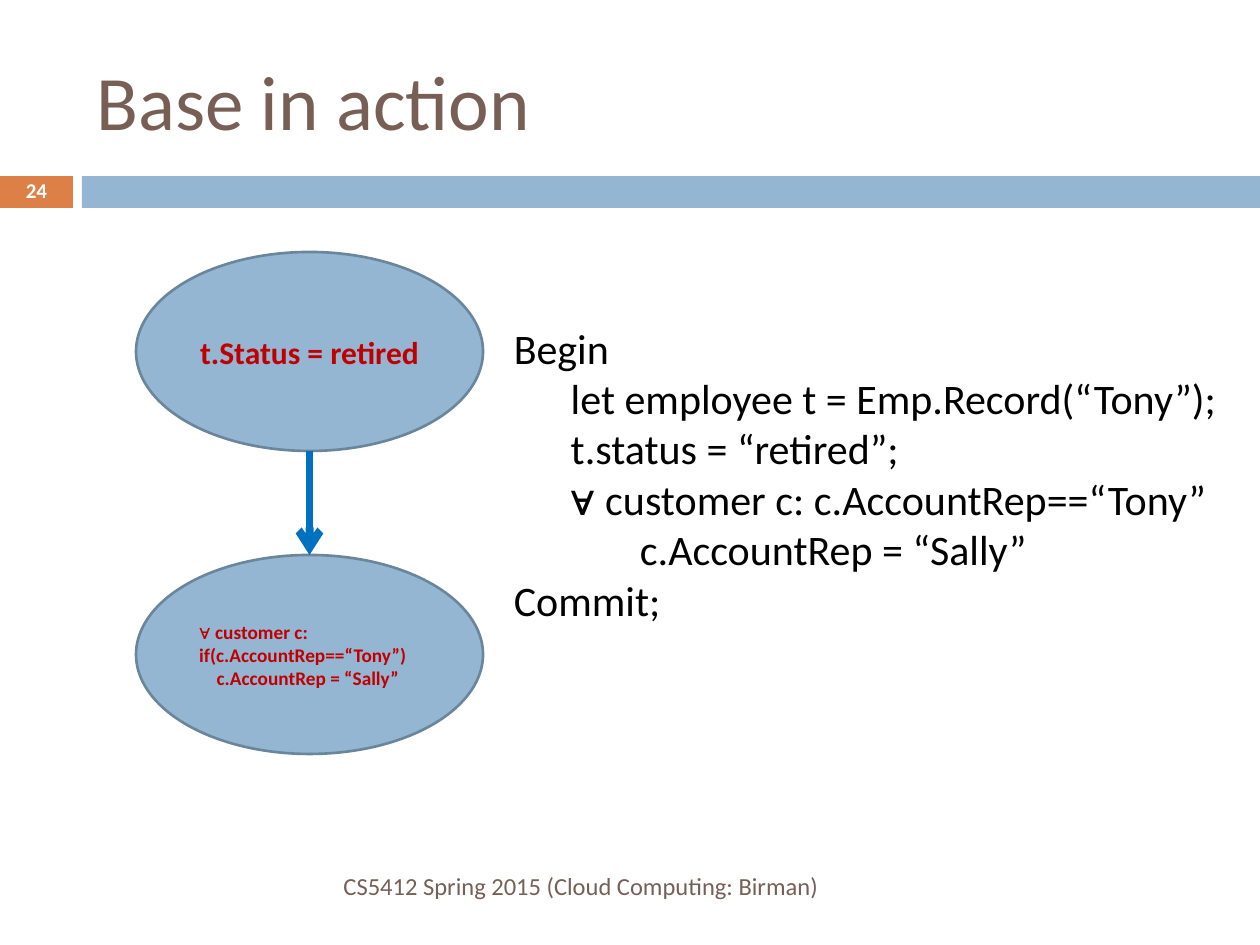
from lxml.etree import SubElement
from pptx import Presentation
from pptx.dml.color import RGBColor
from pptx.enum.shapes import MSO_CONNECTOR, MSO_SHAPE
from pptx.enum.text import MSO_ANCHOR, PP_ALIGN
from pptx.oxml.ns import qn
from pptx.util import Emu, Inches, Pt

BLUE = RGBColor(0x94, 0xB6, 0xD2)
OUTLINE = RGBColor(0x6B, 0x85, 0x9A)
ORANGE = RGBColor(0xDD, 0x80, 0x47)
BROWN = RGBColor(0x77, 0x5F, 0x55)
RED = RGBColor(0xC0, 0x00, 0x00)
ARROW = RGBColor(0x00, 0x70, 0xC0)
BLACK = RGBColor(0, 0, 0)
WHITE = RGBColor(255, 255, 255)

PAGE_WIDTH, PAGE_HEIGHT = 1260, 945
FOR_ALL = "∀"


def px(length):
    return Emu(round(length * 914400 / 126))


def write(shape, lines, size, color, bold=False, align=PP_ALIGN.LEFT,
          anchor=MSO_ANCHOR.MIDDLE):
    """Fill a shape with lines; the quantifier sign is set in Arial."""
    frame = shape.text_frame
    frame.word_wrap = True
    frame.vertical_anchor = anchor
    for index, line in enumerate(lines):
        para = frame.paragraphs[0] if index == 0 else frame.add_paragraph()
        para.alignment = align
        before, sign, after = line.partition(FOR_ALL)
        for text in filter(None, (before, sign, after)):
            span = para.add_run()
            span.text = text
            span.font.name = "Arial" if text == FOR_ALL else "Calibri"
            span.font.size = Pt(size)
            span.font.bold = bold
            span.font.color.rgb = color
    return frame


def add_text(page, box, lines, size, color, **style):
    shape = page.shapes.add_textbox(*map(px, box))
    return write(shape, lines, size, color, **style)


def add_filled(page, kind, box, fill):
    shape = page.shapes.add_shape(kind, *map(px, box))
    shape.shadow.inherit = False
    shape.fill.solid()
    shape.fill.fore_color.rgb = fill
    shape.line.fill.background()
    return shape


def add_band(page, box, number):
    left, top, width, height = box
    number_width, gap = 73, 9
    bar_left = left + number_width + gap
    add_filled(page, MSO_SHAPE.RECTANGLE, (left, top, number_width, height), ORANGE)
    add_filled(page, MSO_SHAPE.RECTANGLE,
               (bar_left, top, left + width - bar_left, height), BLUE)
    frame = add_text(page, (left, top - 1, number_width, height + 2), [number],
                     12, WHITE, bold=True, align=PP_ALIGN.CENTER)
    frame.paragraphs[0].line_spacing = 0.8


def add_code(page, box, lines):
    frame = add_text(page, box, lines, 24, BLACK, anchor=MSO_ANCHOR.TOP)
    for para in frame.paragraphs:
        properties = para._p.get_or_add_pPr()
        properties.set("marL", str(Inches(0.4)))
        properties.set("indent", "0")
        tabs = SubElement(properties, qn("a:tabLst"))
        for stop in range(8):
            SubElement(tabs, qn("a:tab"), pos=str(Inches(stop)), algn="l")


def add_arrow(page, upper, lower):
    middle = upper.left + upper.width // 2
    arrow = page.shapes.add_connector(
        MSO_CONNECTOR.STRAIGHT,
        middle, upper.top + upper.height, middle, lower.top)
    arrow.line.color.rgb = ARROW
    arrow.line.width = Pt(4.5)
    SubElement(arrow.line._get_or_add_ln(), qn("a:tailEnd"), type="arrow")
    SubElement(arrow._element.spPr, qn("a:effectLst"))


def add_steps(page, box, steps):
    left, top, width, height = box
    oval_height = 199
    pitch = (height - oval_height) // (len(steps) - 1)
    ovals = []
    for index, (lines, size, align) in enumerate(steps):
        oval = add_filled(page, MSO_SHAPE.OVAL,
                          (left, top + index * pitch, width, oval_height), BLUE)
        oval.line.color.rgb = OUTLINE
        oval.line.width = Pt(1.5)
        write(oval, lines, size, RED, bold=True, align=align)
        ovals.append(oval)
    for upper, lower in zip(ovals, ovals[1:]):
        add_arrow(page, upper, lower)


def main():
    deck = Presentation()
    deck.slide_width, deck.slide_height = px(PAGE_WIDTH), px(PAGE_HEIGHT)
    page = deck.slides.add_slide(deck.slide_layouts[6])

    # Heading, band and footer
    add_band(page, (0, 176, PAGE_WIDTH, 32), "24")
    add_text(page, (84, 32, 1124, 136), ["Base in action"], 44, BROWN)
    add_text(page, (84, 861, 747, 50),
             ["CS5412 Spring 2015 (Cloud Computing: Birman)"],
             14, BROWN, align=PP_ALIGN.RIGHT)

    # Transaction code
    add_code(page, (451, 316, 809, 416), [
        "Begin",
        "      let employee t = Emp.Record(“Tony”);",
        "      t.status = “retired”;",
        "      ∀ customer c: c.AccountRep==“Tony”",
        "\t\tc.AccountRep = “Sally”",
        "Commit;",
    ])

    # The two steps it is split into
    add_steps(page, (136, 252, 347, 502), [
        (["t.Status = retired"], 18, PP_ALIGN.CENTER),
        (["∀ customer c: if(c.AccountRep==“Tony”)",
          "    c.AccountRep = “Sally”"], 11, PP_ALIGN.LEFT),
    ])
    deck.save("out.pptx")


if __name__ == "__main__":
    main()
